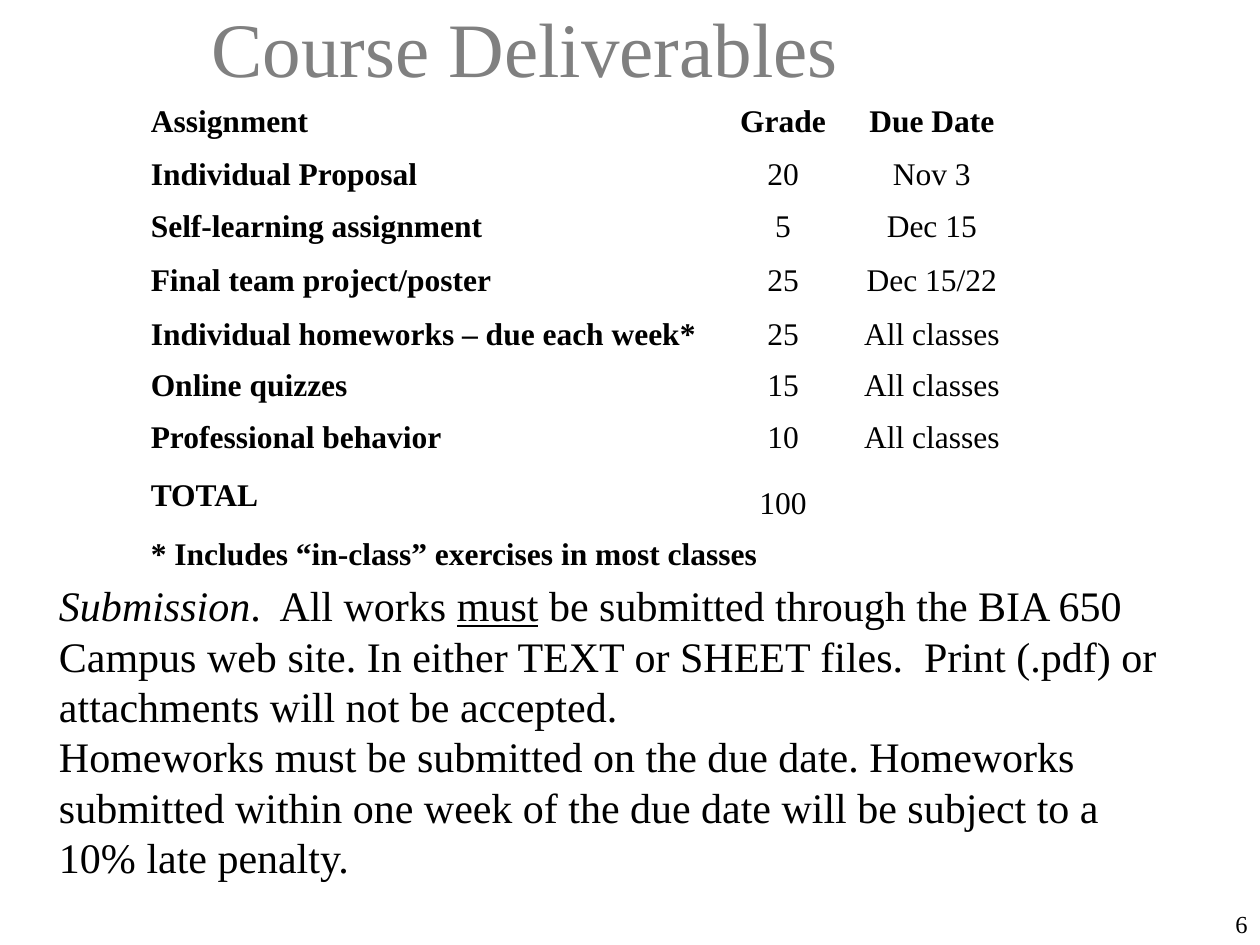
from lxml import etree
from pptx import Presentation
from pptx.dml.color import RGBColor
from pptx.enum.text import MSO_ANCHOR, PP_ALIGN
from pptx.oxml.ns import qn
from pptx.util import Cm, Pt

LEFT, MID, RIGHT = PP_ALIGN.LEFT, PP_ALIGN.CENTER, PP_ALIGN.RIGHT
CENTRE, FOOT = MSO_ANCHOR.MIDDLE, MSO_ANCHOR.BOTTOM
FONT = "Times New Roman"
COLORS = {"title": "808080", "text": "000000", "line": "FFFFFF"}

COLS = [11.61, 2.67, 3.33]
ROWS = [
    (1.09, ["Assignment", "Grade", "Due Date"]),
    (1.07, ["Individual Proposal", "20", "Nov 3"]),
    (1.04, ["Self-learning assignment", "5", "Dec 15"]),
    (1.12, ["Final team project/poster", "25", "Dec 15/22"]),
    (1.04, ["Individual homeworks – due each week*", "25", "All classes"]),
    (1.04, ["Online quizzes", "15", "All classes"]),
    (1.06, ["Professional behavior", "10", "All classes"]),
    (1.28, ["TOTAL", "100", ""]),
    (1.09, ["* Includes “in-class” exercises in most classes", "", ""]),
]
RULES = [
    [
        ("Submission", "italic"),
        (".  All works ", None),
        ("must", "underline"),
        (" be submitted through the BIA 650 Campus web site. In either TEXT or "
         "SHEET files.  Print (.pdf) or attachments will not be accepted.", None),
    ],
    [
        ("Homeworks must be submitted on the due date. Homeworks submitted "
         "within one week of the due date will be subject to a 10% late "
         "penalty.", None),
    ],
]


def style(font, size, color="text", bold=False):
    font.name = FONT
    font.size = Pt(size)
    font.bold = bold
    font.color.rgb = RGBColor.from_string(COLORS[color])


def add_title(slide, box):
    title = slide.shapes.title
    title.left, title.top, title.width, title.height = map(Cm, box)
    frame = title.text_frame
    frame.text = "Course Deliverables"
    frame.vertical_anchor = CENTRE
    para = frame.paragraphs[0]
    para.alignment = LEFT
    style(para.runs[0].font, 44, "title")


def add_edges(cell, head, first):
    props = cell._tc.get_or_add_tcPr()
    thick = {"lnB": head, "lnT": first}
    for side in ("lnL", "lnR", "lnT", "lnB"):
        width = Pt(1.47 if thick.get(side) else 0.45)
        line = etree.SubElement(props, qn("a:" + side), w=str(width))
        fill = etree.SubElement(line, qn("a:solidFill"))
        etree.SubElement(fill, qn("a:srgbClr"), val=COLORS["line"])


def add_grades(slide, box):
    frame = slide.shapes.add_table(len(ROWS), len(COLS), *map(Cm, box))
    table = frame.table
    for col, width in zip(table.columns, COLS):
        col.width = Cm(width)
    for r, (height, texts) in enumerate(ROWS):
        table.rows[r].height = Cm(height)
        for c, text in enumerate(texts):
            cell = table.cell(r, c)
            add_edges(cell, r == 0, r == 1)
            cell.fill.background()
            cell.margin_left = cell.margin_right = Cm(0.2)
            cell.vertical_anchor = FOOT if text == "100" else CENTRE
            para = cell.text_frame.paragraphs[0]
            para.text = text
            para.alignment = MID if c else LEFT
            style(para.font, 18, bold=r == 0 or c == 0)
            for run in para.runs:
                style(run.font, 18, bold=r == 0 or c == 0)
    end = len(ROWS) - 1
    table.cell(end, 0).merge(table.cell(end, len(COLS) - 1))


def add_rules(slide, box):
    frame = slide.shapes.add_textbox(*map(Cm, box)).text_frame
    frame.word_wrap = True
    for i, parts in enumerate(RULES):
        para = frame.add_paragraph() if i else frame.paragraphs[0]
        for text, mark in parts:
            run = para.add_run()
            run.text = text
            style(run.font, 24)
            if mark:
                setattr(run.font, mark, True)


def add_number(slide, box):
    frame = slide.shapes.add_textbox(*map(Cm, box)).text_frame
    frame.word_wrap = True
    frame.text = "6"
    para = frame.paragraphs[0]
    para.alignment = RIGHT
    style(para.runs[0].font, 14)


def main():
    deck = Presentation()
    deck.slide_width, deck.slide_height = Cm(25.4), Cm(19.05)
    slide = deck.slides.add_slide(deck.slide_layouts[5])
    add_title(slide, (4.01, 0.2, 21.39, 1.47))
    add_number(slide, (21.79, 18.21, 3.61, 0.84))
    add_rules(slide, (0.94, 11.56, 22.66, 6.35))
    add_grades(slide, (2.84, 1.9, sum(COLS), sum(row[0] for row in ROWS)))
    deck.save("out.pptx")


if __name__ == "__main__":
    main()
